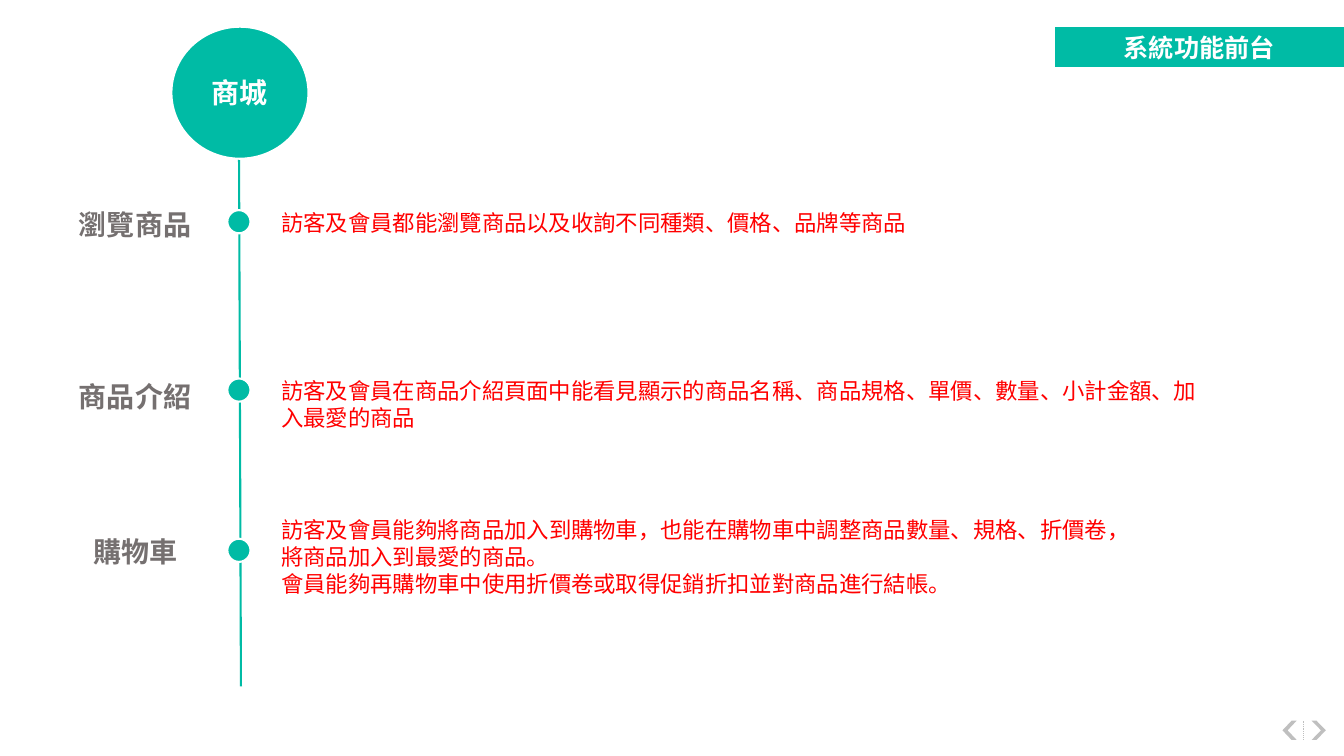
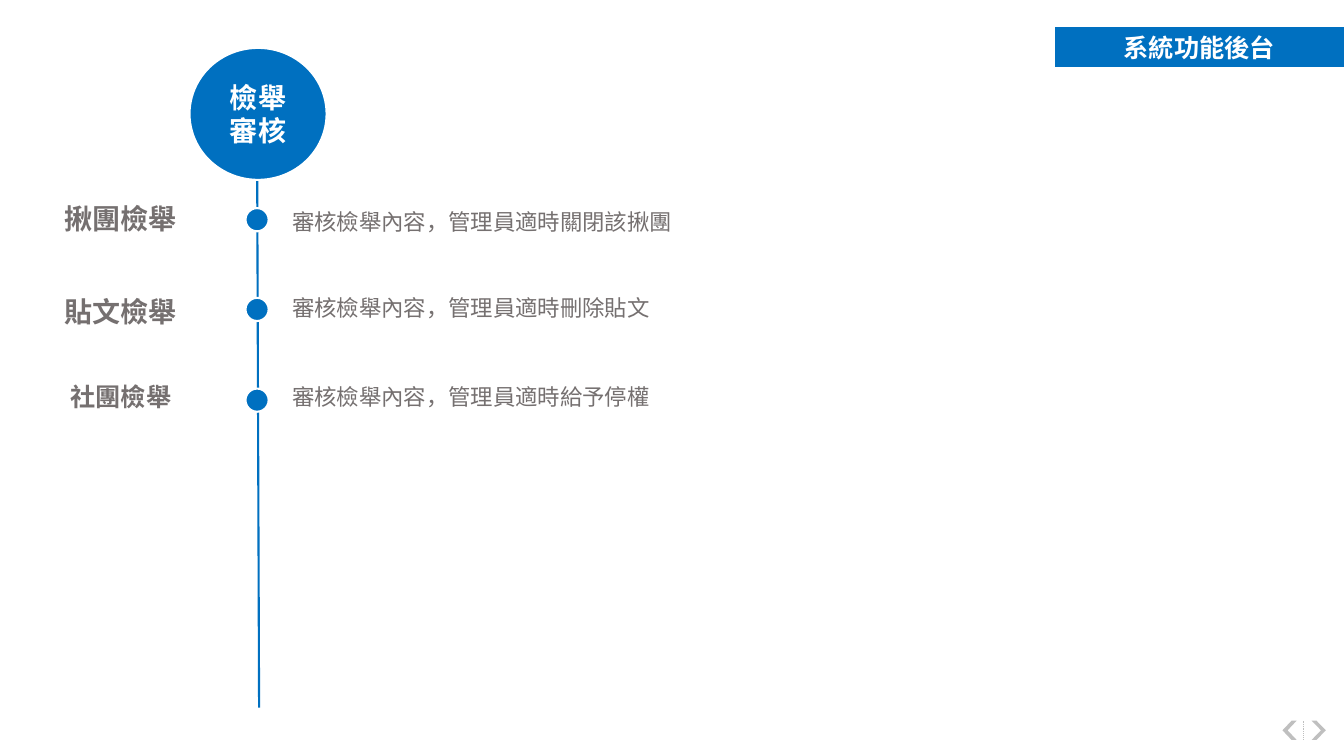
"""Builds two timeline slides that list system functions."""
from lxml import etree
from pptx import Presentation
from pptx.dml.color import RGBColor
from pptx.enum import dml, shapes, text
from pptx.oxml import ns
from pptx.util import Inches, Pt

FONT = "Arial"
WHITE, GREY, SILVER, RED = "FFFFFF", "757070", "BFBFBF", "FF0000"
TEAL, BLUE = "00BBA5", "0070C0"
HUB_W, HUB_H, DOT = 1.36, 1.31, 0.23
LABEL_W, LABEL_H = 2.0, 0.54
AXIS_LENGTH = 5.55

TIMELINES = [
    {
        "title": "系統功能前台", "hub": "商城", "accent": TEAL, "detail_color": RED,
        "axis": 2.37, "hub_y": 0.92, "label_x": 1.34, "detail_left": 2.69,
        "rows": [
            {"label": "瀏覽商品", "size": 20, "label_y": 2.23, "dot_y": 2.2,
             "detail_top": 2.03, "detail_size": (9.44, 0.37),
             "details": ["訪客及會員都能瀏覽商品以及收詢不同種類、價格、品牌等商品"]},
            {"label": "商品介紹", "size": 20, "label_y": 3.93, "dot_y": 3.87,
             "detail_top": 3.69, "detail_size": (9.44, 0.64),
             "details": ["訪客及會員在商品介紹頁面中能看見顯示的商品名稱、商品規格、"
                         "單價、數量、小計金額、加入最愛的商品"]},
            {"label": "購物車", "size": 20, "label_y": 5.47, "dot_y": 5.46,
             "detail_top": 5.07, "detail_size": (8.45, 1.55),
             "details": ["訪客及會員能夠將商品加入到購物車，也能在購物車中調整商品數量、"
                         "規格、折價卷，將商品加入到最愛的商品。",
                         "會員能夠再購物車中使用折價卷或取得促銷折扣並對商品進行結帳。"]},
        ],
    },
    {
        "title": "系統功能後台", "hub": "檢舉審核", "accent": BLUE, "detail_color": GREY,
        "axis": 2.55, "hub_y": 1.13, "label_x": 1.2, "detail_left": 2.8,
        "rows": [
            {"label": "揪團檢舉", "size": 20, "label_y": 2.17, "dot_y": 2.18,
             "detail_top": 2.02, "detail_size": (6.95, 0.37),
             "details": ["審核檢舉內容，管理員適時關閉該揪團"]},
            {"label": "貼文檢舉", "size": 20, "label_y": 3.09, "dot_y": 3.07,
             "detail_top": 2.87, "detail_size": (6.95, 0.37),
             "details": ["審核檢舉內容，管理員適時刪除貼文"]},
            {"label": "社團檢舉", "size": 18, "label_y": 3.93, "dot_y": 3.97,
             "detail_top": 3.75, "detail_size": (6.95, 0.37),
             "details": ["審核檢舉內容，管理員適時給予停權"]},
        ],
    },
]


def rgb(value):
    return RGBColor.from_string(value)


def box(left, top, width, height):
    return [Inches(value) for value in (left, top, width, height)]


def centered(x, y, width, height):
    return box(x - width / 2, y - height / 2, width, height)


def paint(shape, fill, outline=None):
    shape.fill.solid()
    shape.fill.fore_color.rgb = rgb(fill)
    if outline:
        shape.line.color.rgb = rgb(outline)
        shape.line.width = Pt(1.5)
    else:
        shape.line.fill.background()


def write(shape, lines, size, color, bold=False, align=text.PP_ALIGN.CENTER,
          anchor=text.MSO_ANCHOR.MIDDLE):
    frame = shape.text_frame
    frame.word_wrap = True
    frame.auto_size = text.MSO_AUTO_SIZE.NONE
    frame.vertical_anchor = anchor
    for index, line in enumerate(lines):
        paragraph = frame.add_paragraph() if index else frame.paragraphs[0]
        paragraph.alignment = align
        run = paragraph.add_run()
        run.text = line
        run.font.name = FONT
        run.font.size = Pt(size)
        run.font.bold = bold
        run.font.color.rgb = rgb(color)


def add_shape(parent, kind, place, fill, outline=None):
    shape = parent.add_shape(kind, *place)
    shape.shadow.inherit = False
    paint(shape, fill, outline)
    return shape


def add_line(parent, start, end, color, width):
    line = parent.add_connector(shapes.MSO_CONNECTOR.STRAIGHT,
                                *[Inches(value) for value in (*start, *end)])
    line.line.color.rgb = rgb(color)
    line.line.width = Pt(width)
    etree.SubElement(line.element.spPr, ns.qn("a:effectLst"))
    return line


def add_navigation(layout, slide):
    for placeholder in list(layout.placeholders):
        if placeholder.placeholder_format.type != shapes.PP_PLACEHOLDER.TITLE:
            placeholder.element.getparent().remove(placeholder.element)
    navigation = slide.shapes.add_group_shape()
    for left, rotation, notch in ((13.01, 0, 0.66), (12.72, 180, 0.64)):
        arrow = add_shape(navigation.shapes, shapes.MSO_SHAPE.CHEVRON,
                          box(left, 7.15, 0.14, 0.19), SILVER)
        arrow.rotation = rotation
        arrow.adjustments[0] = notch
    divider = add_line(navigation.shapes, (12.93, 7.34), (12.93, 7.15), SILVER, 0.75)
    divider.line.dash_style = dml.MSO_LINE.ROUND_DOT
    layout.shapes.element.append(navigation.element)


def add_row(slide, timeline, row):
    label = slide.shapes.add_textbox(
        *centered(timeline["label_x"], row["label_y"], LABEL_W, LABEL_H))
    write(label, [row["label"]], row["size"], GREY, bold=True)
    add_shape(slide.shapes, shapes.MSO_SHAPE.OVAL,
              centered(timeline["axis"], row["dot_y"], DOT, DOT), timeline["accent"], WHITE)
    detail = slide.shapes.add_textbox(
        *box(timeline["detail_left"], row["detail_top"], *row["detail_size"]))
    write(detail, row["details"], 16, timeline["detail_color"],
          align=text.PP_ALIGN.LEFT, anchor=text.MSO_ANCHOR.TOP)


def fill_slide(slide, timeline):
    accent, axis, hub_y = timeline["accent"], timeline["axis"], timeline["hub_y"]
    banner = slide.shapes.title
    banner.left, banner.top, banner.width, banner.height = box(10.45, 0.26, 2.89, 0.42)
    paint(banner, accent, WHITE)
    write(banner, [timeline["title"]], 18, WHITE, bold=True)

    axis_top = hub_y + 0.34
    add_line(slide.shapes, (axis, axis_top), (axis + 0.02, axis_top + AXIS_LENGTH), accent, 1.5)
    hub = add_shape(slide.shapes, shapes.MSO_SHAPE.OVAL,
                    centered(axis + 0.01, hub_y, HUB_W, HUB_H), accent, WHITE)
    write(hub, [timeline["hub"]], 20, WHITE, bold=True)
    for row in timeline["rows"]:
        add_row(slide, timeline, row)


def main():
    deck = Presentation()
    deck.slide_width, deck.slide_height = Inches(13.33), Inches(7.5)
    layout = deck.slide_layouts.get_by_name("Title Only")
    slides = [deck.slides.add_slide(layout) for _ in TIMELINES]
    add_navigation(layout, slides[0])
    for slide, timeline in zip(slides, TIMELINES):
        fill_slide(slide, timeline)
    deck.save("out.pptx")


if __name__ == "__main__":
    main()
